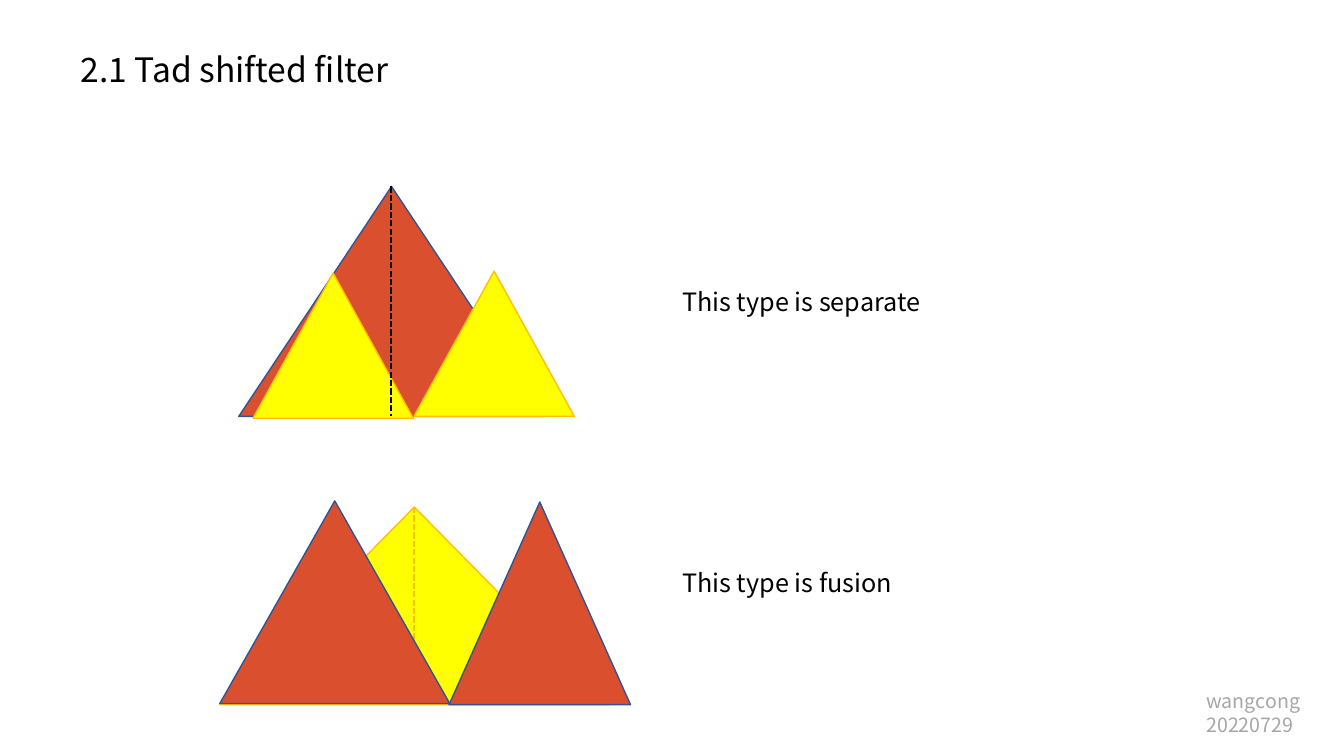
from pptx import Presentation
from pptx.dml.color import RGBColor
from pptx.enum import dml, shapes, text
from pptx.oxml import ns
from pptx.util import Pt
from lxml import etree

FONT = "Noto Sans CJK SC"
BLACK = RGBColor(0x00, 0x00, 0x00)
GRAY = RGBColor(0xA6, 0xA6, 0xA6)
RED = RGBColor(0xDA, 0x4F, 0x2E)
BLUE = RGBColor(0x32, 0x54, 0x91)
YELLOW = RGBColor(0xFF, 0xFF, 0x00)
AMBER = RGBColor(0xFF, 0xC0, 0x00)


def write_text(shape, lines, size, color):
    """Fill a shape with left-aligned lines of one size and colour."""
    frame = shape.text_frame
    frame.text = "\n".join(lines)
    frame.word_wrap = True
    frame.auto_size = text.MSO_AUTO_SIZE.NONE
    frame.vertical_anchor = text.MSO_ANCHOR.TOP
    for paragraph in frame.paragraphs:
        paragraph.alignment = text.PP_ALIGN.LEFT
        paragraph.line_spacing = Pt(size * 1.2)
        paragraph.space_before = Pt(0)
        paragraph.font.size = Pt(size)
        paragraph.font.name = FONT
        paragraph.font.color.rgb = color


def add_title(slide, title, left, top, width, height):
    """Place and format the title placeholder."""
    shape = slide.shapes.title
    shape.left, shape.top = Pt(left), Pt(top)
    shape.width, shape.height = Pt(width), Pt(height)
    write_text(shape, [title], 24, BLACK)


def add_label(slide, lines, left, top, width, height, size=18, color=BLACK):
    """Add a text box."""
    shape = slide.shapes.add_textbox(Pt(left), Pt(top), Pt(width), Pt(height))
    write_text(shape, lines, size, color)


def add_triangle(slide, left, top, width, height, fill, outline):
    """Add an outlined isosceles triangle."""
    shape = slide.shapes.add_shape(
        shapes.MSO_SHAPE.ISOSCELES_TRIANGLE, Pt(left), Pt(top), Pt(width), Pt(height))
    shape.shadow.inherit = False
    shape.fill.solid()
    shape.fill.fore_color.rgb = fill
    shape.line.color.rgb = outline
    shape.line.width = Pt(1)


def add_axis(slide, x, top, bottom, color):
    """Add a dashed vertical axis."""
    connector = slide.shapes.add_connector(
        shapes.MSO_CONNECTOR.STRAIGHT, Pt(x), Pt(top), Pt(x), Pt(bottom))
    connector.line.color.rgb = color
    connector.line.width = Pt(1.5)
    connector.line.dash_style = dml.MSO_LINE.SQUARE_DOT
    etree.SubElement(connector._element.spPr, ns.qn("a:effectLst"))


def add_separate_type(slide):
    """Draw one red peak split into two yellow peaks."""
    add_triangle(slide, 170.6, 133.2, 218.2, 164.2, RED, BLUE)
    add_triangle(slide, 180.7, 195.1, 114.5, 103.7, YELLOW, AMBER)
    add_axis(slide, 279.5, 133.2, 297.4, BLACK)
    add_triangle(slide, 295.7, 193.7, 114.5, 103.7, YELLOW, AMBER)
    add_label(slide, ["This type is separate"], 480.2, 200.9, 188, 28.8)


def add_fusion_type(slide):
    """Draw one yellow peak behind two red peaks."""
    add_triangle(slide, 157, 362.2, 277.9, 141.1, YELLOW, AMBER)
    add_axis(slide, 295.9, 362.2, 502.6, AMBER)
    add_triangle(slide, 157, 357.8, 164.2, 144.7, RED, BLUE)
    add_triangle(slide, 320.8, 358.6, 129.6, 144.7, RED, BLUE)
    add_label(slide, ["This type is fusion"], 480.2, 401.8, 188, 28.8)


def main():
    """Build and save the slide."""
    presentation = Presentation()
    presentation.slide_width, presentation.slide_height = Pt(960), Pt(540)
    slide = presentation.slides.add_slide(presentation.slide_layouts[5])
    add_title(slide, "2.1 Tad shifted filter", 50.4, 31, 290.9, 36)
    add_separate_type(slide)
    add_fusion_type(slide)
    add_label(slide, ["wangcong", "20220729"], 854.6, 488.9, 100, 41, 14, GRAY)
    presentation.save("out.pptx")


main()
